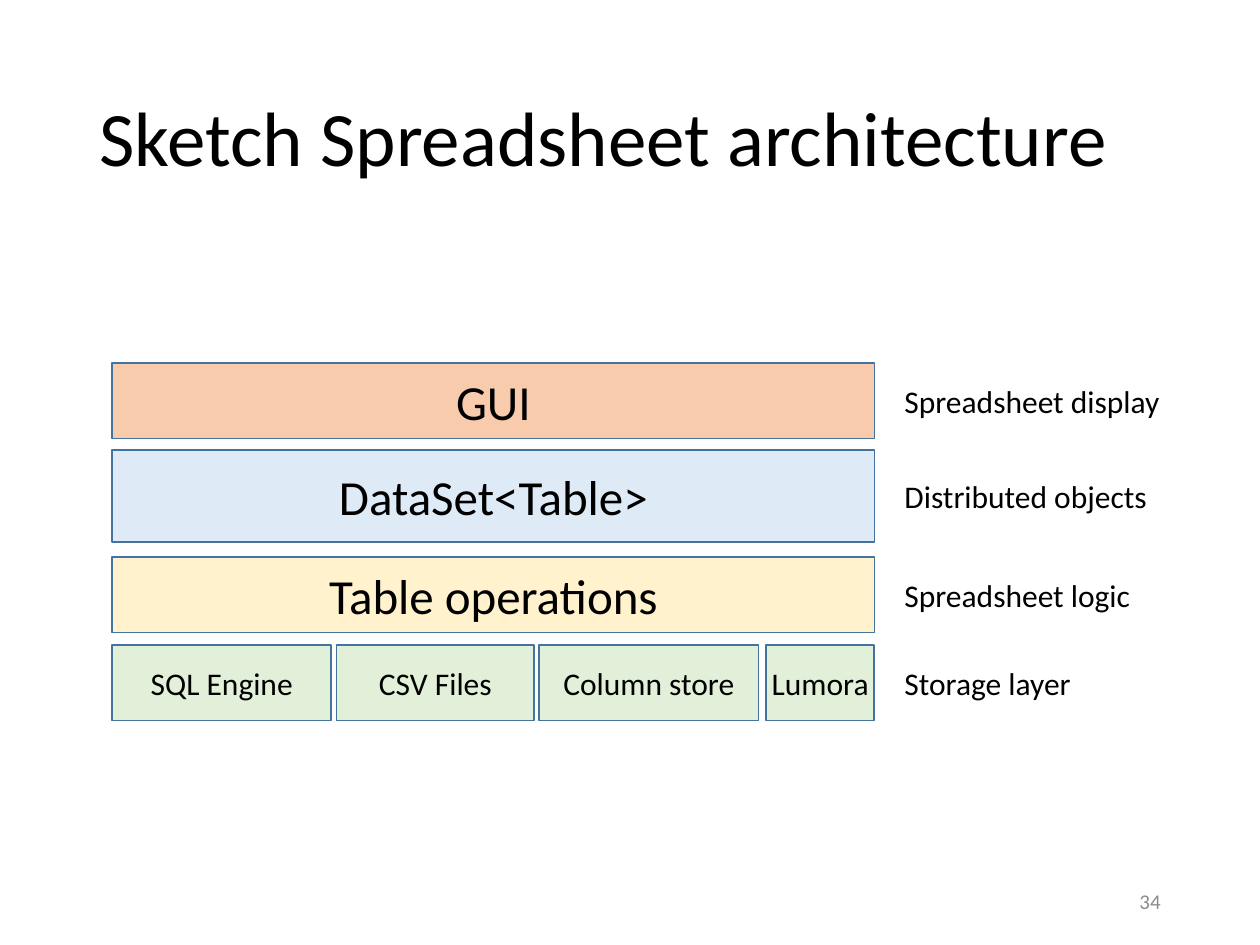
from pptx import Presentation
from pptx.dml.color import RGBColor
from pptx.enum.shapes import MSO_SHAPE
from pptx.enum.text import MSO_ANCHOR, PP_ALIGN
from pptx.util import Inches, Pt

THEME = {
    "font": "Calibri", "text": "000000", "muted": "8C8C8C", "line": "43739E",
    "gui": "F8CBAD", "data": "DEEBF7", "logic": "FFF2CC", "storage": "E2F0D9",
    "title_size": 44, "layer_size": 28, "label_size": 18, "number_size": 12,
}

TITLE = "Sketch Spreadsheet architecture"
PAGE_NUMBER = "34"
STACK_LEFT, STACK_WIDTH = 0.89, 6.05
LABEL_LEFT, LABEL_HEIGHT = 7.08, 0.4

LAYERS = [
    ("gui", 2.88, 0.6, "Spreadsheet display", 2.25, ["GUI"]),
    ("data", 3.57, 0.73, "Distributed objects", 2.15, ["DataSet<Table>"]),
    ("logic", 4.42, 0.6, "Spreadsheet logic", 2.02, ["Table operations"]),
    ("storage", 5.12, 0.6, "Storage layer", 1.54,
     ["SQL Engine", "CSV Files", "Column store", "Lumora"]),
]
STORE_SPANS = [(0.89, 1.74), (2.67, 1.57), (4.28, 1.74), (6.08, 0.86)]


def write(shape, text, size, color="text", align=PP_ALIGN.LEFT, wrap=True):
    tf = shape.text_frame
    tf.word_wrap = wrap
    tf.vertical_anchor = MSO_ANCHOR.MIDDLE
    p = tf.paragraphs[0]
    p.alignment = align
    r = p.add_run()
    r.text = text
    r.font.name = THEME["font"]
    r.font.size = Pt(THEME[size])
    r.font.color.rgb = RGBColor.from_string(THEME[color])
    return p


def add_text(s, box, text, size, **style):
    return write(s.shapes.add_textbox(*map(Inches, box)), text, size, **style)


def add_block(s, box, text, fill, size, wrap):
    sp = s.shapes.add_shape(MSO_SHAPE.RECTANGLE, *map(Inches, box))
    sp.shadow.inherit = False
    sp.fill.solid()
    sp.fill.fore_color.rgb = RGBColor.from_string(THEME[fill])
    sp.line.color.rgb = RGBColor.from_string(THEME["line"])
    sp.line.width = Pt(1)
    write(sp, text, size, align=PP_ALIGN.CENTER, wrap=wrap)


def main():
    prs = Presentation()
    prs.slide_width, prs.slide_height = Inches(10), Inches(7.5)
    s = prs.slides.add_slide(prs.slide_layouts[6])

    title = add_text(s, (0.69, 0.4, 8.62, 1.45), TITLE, "title_size")
    title.line_spacing = 0.9
    add_text(s, (7.06, 6.95, 2.25, 0.4), PAGE_NUMBER, "number_size",
             color="muted", align=PP_ALIGN.RIGHT)

    for fill, top, height, label, label_width, blocks in LAYERS:
        single = len(blocks) == 1
        spans = [(STACK_LEFT, STACK_WIDTH)] if single else STORE_SPANS
        size = "layer_size" if single else "label_size"
        for text, (left, width) in zip(blocks, spans):
            add_block(s, (left, top, width, height), text, fill, size, single)
        label_top = top + (height - LABEL_HEIGHT) / 2
        add_text(s, (LABEL_LEFT, label_top, label_width, LABEL_HEIGHT),
                 label, "label_size", wrap=False)

    prs.save("out.pptx")


if __name__ == "__main__":
    main()
